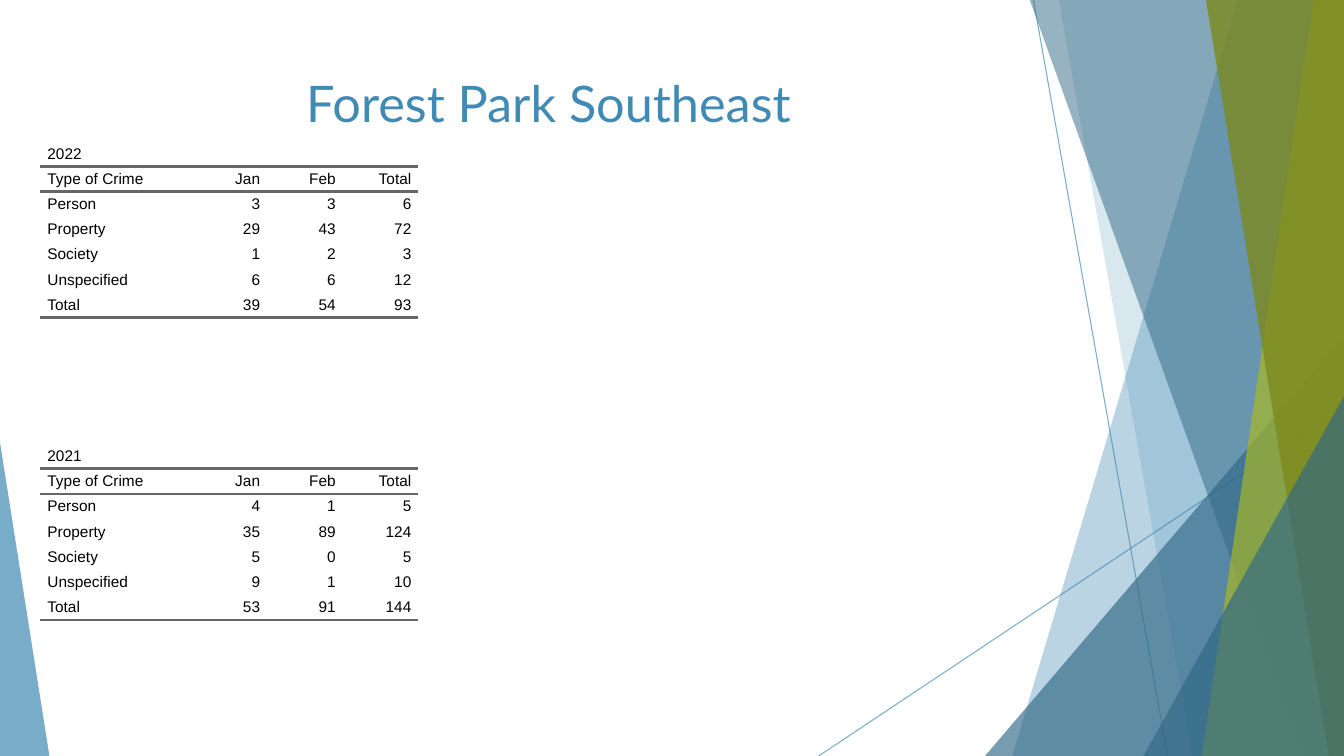
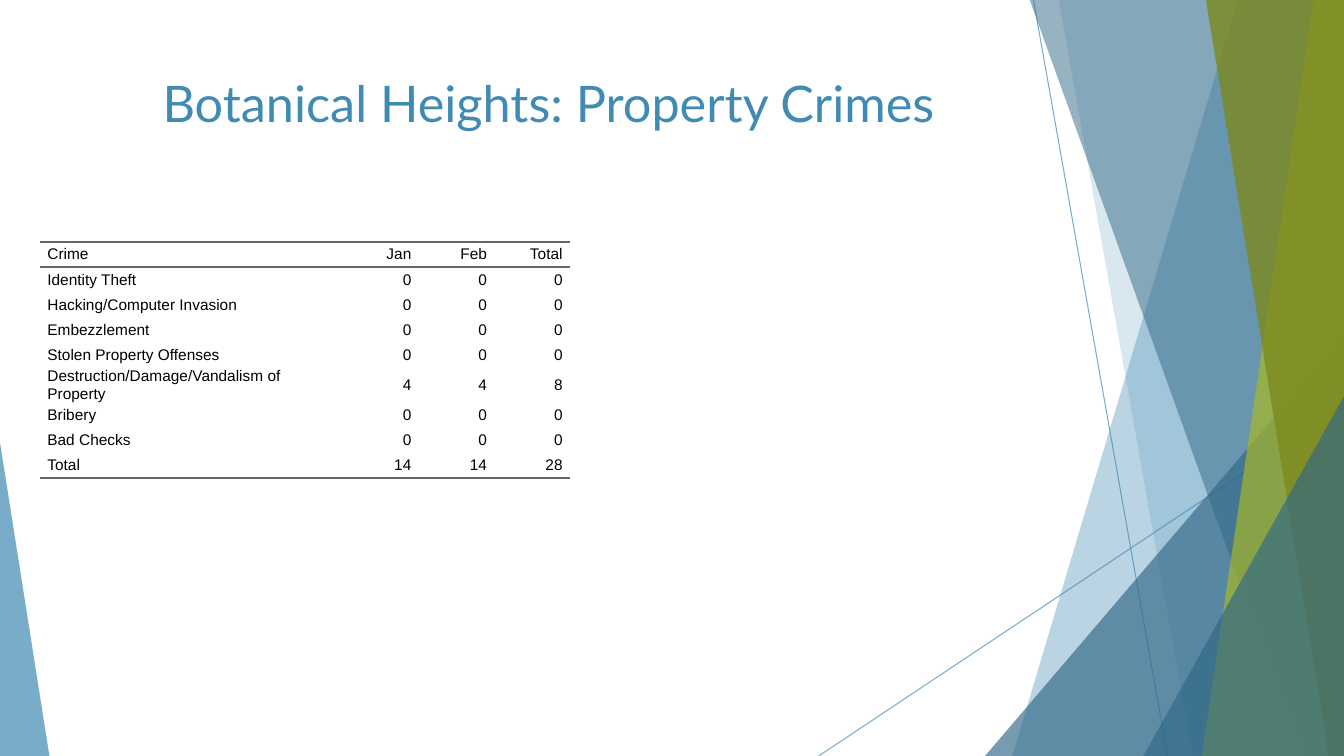
from dataclasses import dataclass

from pptx import Presentation
from pptx.dml.color import RGBColor
from pptx.enum.shapes import MSO_CONNECTOR, MSO_SHAPE
from pptx.enum.text import MSO_ANCHOR, PP_ALIGN
from pptx.oxml.ns import qn
from pptx.util import Inches, Pt
from lxml import etree

STRAIGHT = MSO_CONNECTOR.STRAIGHT
TRIANGLE = MSO_SHAPE.ISOSCELES_TRIANGLE
TOP, MIDDLE = MSO_ANCHOR.TOP, MSO_ANCHOR.MIDDLE
LEFT, CENTER, RIGHT = PP_ALIGN.LEFT, PP_ALIGN.CENTER, PP_ALIGN.RIGHT

BLUE = RGBColor(0x41, 0x8A, 0xB3)
DARK_BLUE = RGBColor(0x31, 0x68, 0x86)
LIME = RGBColor(0xA6, 0xB7, 0x27)
OLIVE = RGBColor(0x7D, 0x89, 0x1D)
BLACK = RGBColor(0, 0, 0)
RULE_GRAY = RGBColor(0x66, 0x66, 0x66)

PAGE_WIDTH, PAGE_HEIGHT = 13.33, 7.5
BAND_TOP = -0.01
TITLE_ONLY = 5
PLAIN_TABLE_STYLE = "{2D5ABB26-0587-4C30-8999-92F81FD0307C}"
TABLE_LEFT, ROW_HEIGHT, NUMBER_WIDTH = 0.4, 0.25, 0.75
CELL_INDENT = 0.07


@dataclass(frozen=True)
class Ray:
    """Thin line between two points."""
    start: tuple[float, float]
    end: tuple[float, float]


@dataclass(frozen=True)
class Band:
    """Slanted band that reaches the right edge of the page."""
    top_left: float
    bottom_left: float
    color: RGBColor
    opacity: int


@dataclass(frozen=True)
class Corner:
    """Right triangle standing on the bottom edge, apex at 0 (left) or 1 (right)."""
    left: float
    top: float
    width: float
    apex: int
    color: RGBColor
    opacity: int


@dataclass(frozen=True)
class CrimeTable:
    top: float
    label_width: float
    rows: list[tuple]
    caption: str = ""


@dataclass(frozen=True)
class CrimePage:
    title: str
    tables: list[CrimeTable]


RAYS = [Ray((10.25, 0), (11.58, 7.5)), Ray((13.33, 4.03), (8.12, 7.5))]
RAY_OPACITY = 70
FACETS = [
    Band(12.28, 10.04, BLUE, 36),
    Band(10.5, 11.83, BLUE, 20),
    Corner(9.77, 3.33, 3.56, 1, DARK_BLUE, 66),
    Band(10.21, 12.91, DARK_BLUE, 50),
    Band(13.03, 11.92, LIME, 70),
    Band(11.96, 13.18, OLIVE, 80),
    Corner(11.34, 3.93, 1.99, 1, DARK_BLUE, 66),
    Corner(0, 4.39, 0.49, 0, BLUE, 70),
]

MONTHS = ("Jan", "Feb", "Total")
PAGES = [
    CrimePage("Forest Park Southeast", [
        CrimeTable(1.4, 1.5, [
            ("Type of Crime", *MONTHS),
            ("Person", 3, 3, 6),
            ("Property", 29, 43, 72),
            ("Society", 1, 2, 3),
            ("Unspecified", 6, 6, 12),
            ("Total", 39, 54, 93),
        ], caption="2022"),
        CrimeTable(4.4, 1.5, [
            ("Type of Crime", *MONTHS),
            ("Person", 4, 1, 5),
            ("Property", 35, 89, 124),
            ("Society", 5, 0, 5),
            ("Unspecified", 9, 1, 10),
            ("Total", 53, 91, 144),
        ], caption="2021"),
    ]),
    CrimePage("Botanical Heights: Property Crimes", [
        CrimeTable(2.4, 3, [
            ("Crime", *MONTHS),
            ("Identity Theft", 0, 0, 0),
            ("Hacking/Computer Invasion", 0, 0, 0),
            ("Embezzlement", 0, 0, 0),
            ("Stolen Property Offenses", 0, 0, 0),
            ("Destruction/Damage/Vandalism of Property", 4, 4, 8),
            ("Bribery", 0, 0, 0),
            ("Bad Checks", 0, 0, 0),
            ("Total", 14, 14, 28),
        ]),
    ]),
]


# Text
def write_text(frame, text: str, *, size: float, font: str, color: RGBColor,
               align=LEFT, anchor=TOP, spacing: float = 0, indent: float = 0) -> None:
    frame.vertical_anchor = anchor
    para = frame.paragraphs[0]
    para.alignment = align
    para.space_before = para.space_after = Pt(spacing)
    properties = para._p.get_or_add_pPr()
    for side in ("marL", "marR"):
        properties.set(side, str(Inches(indent)))
    properties.set("indent", "0")
    span = para.add_run()
    span.text = text
    span.font.size = Pt(size)
    span.font.name = font
    span.font.color.rgb = color


# Shared decoration
def set_opacity(shape, percent: int) -> None:
    for color in shape.element.iter(qn("a:srgbClr")):
        etree.SubElement(color, qn("a:alpha"), val=str(percent * 1000))


def draw_ray(shapes, ray: Ray) -> None:
    line = shapes.add_connector(STRAIGHT, *map(Inches, ray.start + ray.end))
    line.line.color.rgb = BLUE
    line.line.width = Pt(0.75)
    set_opacity(line, RAY_OPACITY)
    etree.SubElement(line.element.spPr, qn("a:effectLst"))


def draw_facet(shapes, facet: Band | Corner) -> None:
    if isinstance(facet, Band):
        builder = shapes.build_freeform(Inches(facet.top_left), Inches(BAND_TOP))
        outline = [(PAGE_WIDTH, BAND_TOP), (PAGE_WIDTH, PAGE_HEIGHT),
                   (facet.bottom_left, PAGE_HEIGHT)]
        builder.add_line_segments([(Inches(x), Inches(y)) for x, y in outline])
        shape = builder.convert_to_shape()
    else:
        shape = shapes.add_shape(TRIANGLE, Inches(facet.left), Inches(facet.top),
                                 Inches(facet.width), Inches(PAGE_HEIGHT - facet.top))
        shape.adjustments[0] = facet.apex
    shape.shadow.inherit = False
    shape.fill.solid()
    shape.fill.fore_color.rgb = facet.color
    shape.line.fill.background()
    set_opacity(shape, facet.opacity)


def prepare_layout(layout) -> None:
    for placeholder in list(layout.placeholders):
        if placeholder.placeholder_format.idx:
            placeholder.element.getparent().remove(placeholder.element)
    title = layout.placeholders[0]
    title.left, title.top = Inches(0.74), Inches(0.67)
    title.width, title.height = Inches(9.4), Inches(1.44)


def add_decoration(page) -> None:
    """Draw the decoration on a page, then move it to the layout behind the title."""
    group = page.shapes.add_group_shape()
    for ray in RAYS:
        draw_ray(group.shapes, ray)
    for facet in FACETS:
        draw_facet(group.shapes, facet)
    page.slide_layout.shapes.element.insert(2, group.element)


# Tables
def add_border(cell, side: str) -> None:
    line = etree.SubElement(cell._tc.get_or_add_tcPr(), qn(f"a:ln{side}"), w=str(Pt(2)))
    fill = etree.SubElement(line, qn("a:solidFill"))
    etree.SubElement(fill, qn("a:srgbClr"), val=str(RULE_GRAY))


def draw_table(page, spec: CrimeTable) -> None:
    columns = len(spec.rows[0])
    header = 1 if spec.caption else 0
    rows = [(spec.caption,) + ("",) * (columns - 1)] * header + spec.rows
    widths = [spec.label_width] + [NUMBER_WIDTH] * (columns - 1)
    frame = page.shapes.add_table(len(rows), columns, Inches(TABLE_LEFT), Inches(spec.top),
                                  Inches(sum(widths)), Inches(ROW_HEIGHT * len(rows)))
    table = frame.table
    table.first_row = table.horz_banding = False
    frame.element.find(".//" + qn("a:tableStyleId")).text = PLAIN_TABLE_STYLE
    for column, width in zip(table.columns, widths):
        column.width = Inches(width)
    if spec.caption:
        table.cell(0, 0).merge(table.cell(0, columns - 1))

    for row_index, row in enumerate(rows):
        for column_index, value in enumerate(row):
            cell = table.cell(row_index, column_index)
            cell.margin_left = cell.margin_right = cell.margin_top = cell.margin_bottom = 0
            if row_index == header:
                add_border(cell, "T")
            if row_index in (header, len(rows) - 1):
                add_border(cell, "B")
            cell.fill.background()
            if cell.is_spanned:
                continue
            cell.vertical_anchor = MIDDLE
            write_text(cell.text_frame, str(value), size=11, font="Arial", color=BLACK,
                       align=RIGHT if column_index else LEFT, anchor=MIDDLE,
                       spacing=5, indent=CELL_INDENT)


# Deck
def build_deck() -> None:
    deck = Presentation()
    deck.slide_width, deck.slide_height = Inches(PAGE_WIDTH), Inches(PAGE_HEIGHT)
    layout = deck.slide_layouts[TITLE_ONLY]
    prepare_layout(layout)
    for number, spec in enumerate(PAGES):
        page = deck.slides.add_slide(layout)
        if number == 0:
            add_decoration(page)
        for table in spec.tables:
            draw_table(page, table)
        write_text(page.shapes.title.text_frame, spec.title,
                   size=36, font="Lato", color=BLUE, align=CENTER)
    deck.save("out.pptx")


build_deck()
